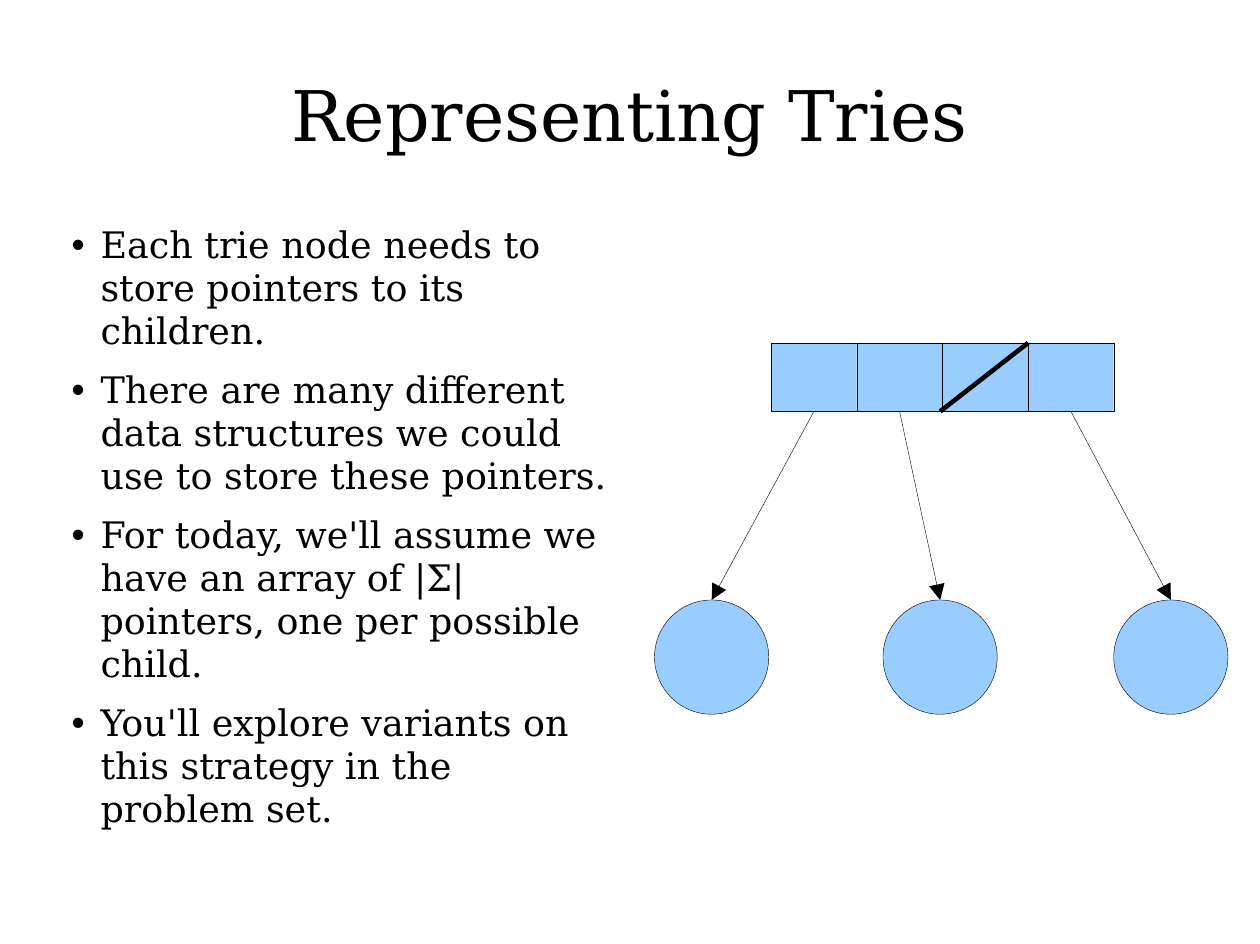
from dataclasses import dataclass
from typing import Optional

from lxml import etree
from pptx import Presentation
from pptx.dml.color import RGBColor
from pptx.enum import shapes as kinds, text as txt
from pptx.oxml import ns
from pptx.util import Inches, Pt

FONT = "DejaVu Serif"
BLACK = "000000"
NODE_BLUE = "99CCFF"
HAIRLINE = 0.25

CELL_LEFT, CELL_TOP, CELL_WIDTH, CELL_HEIGHT = 6.75, 3.0, 0.75, 0.6
CHILD_TOP, CHILD_SIZE = 5.25, 1.0
BULLET_INDENT = 0.26

POINTS = [
    "Each trie node needs to store pointers to its children.",
    "There are many different data structures we could use to store these pointers.",
    "For today, we'll assume we have an array of |Σ| pointers, one per possible child.",
    "You'll explore variants on this strategy in the problem set.",
]


@dataclass
class PointerCell:
    """One array slot; child_left is None for a null pointer."""
    child_left: Optional[float]


POINTER_CELLS = [PointerCell(5.73), PointerCell(7.73), PointerCell(None), PointerCell(9.75)]


def rgb(value: str) -> RGBColor:
    return RGBColor.from_string(value)


def format_frame(frame, anchor) -> None:
    frame_format = {
        "margin_left": 0, "margin_top": 0, "margin_right": 0, "margin_bottom": 0,
        "word_wrap": True, "auto_size": txt.MSO_AUTO_SIZE.NONE, "vertical_anchor": anchor,
    }
    for name, value in frame_format.items():
        setattr(frame, name, value)


def format_font(font, size: float) -> None:
    for name, value in {"name": FONT, "size": Pt(size), "bold": False}.items():
        setattr(font, name, value)
    font.color.rgb = rgb(BLACK)


def add_bullet(paragraph) -> None:
    properties = paragraph._p.get_or_add_pPr()
    properties.set("marL", str(Inches(BULLET_INDENT)))
    properties.set("indent", str(-Inches(BULLET_INDENT)))
    for tag, name, value in [
        ("a:buSzPct", "val", "80000"),
        ("a:buFont", "typeface", "Calibri"),
        ("a:buChar", "char", "•"),
    ]:
        etree.SubElement(properties, ns.qn(tag)).set(name, value)


def add_title(slide) -> None:
    title = slide.shapes.title
    place = {"left": 0.5, "top": 0.63, "width": 10.03, "height": 0.76}
    for name, value in place.items():
        setattr(title, name, Inches(value))
    format_frame(title.text_frame, txt.MSO_ANCHOR.TOP)
    title.text_frame.text = "Representing Tries"
    heading = title.text_frame.paragraphs[0]
    heading.alignment = txt.PP_ALIGN.CENTER
    heading.line_spacing = 1.0
    format_font(heading.runs[0].font, 44)


def add_points(slide) -> None:
    box = slide.shapes.add_textbox(Inches(0.62), Inches(1.95), Inches(4.78), Inches(5.3))
    frame = box.text_frame
    format_frame(frame, txt.MSO_ANCHOR.TOP)
    for index, point in enumerate(POINTS):
        paragraph = frame.add_paragraph() if index else frame.paragraphs[0]
        add_bullet(paragraph)
        paragraph.text = point
        paragraph.line_spacing = Pt(27.1)
        paragraph.space_before = Pt(10 if index else 0)
        format_font(paragraph.runs[0].font, 23)


def add_node(slide, kind, left: float, top: float, width: float, height: float):
    node = slide.shapes.add_shape(kind, Inches(left), Inches(top), Inches(width), Inches(height))
    node.shadow.inherit = False
    node.fill.solid()
    node.fill.fore_color.rgb = rgb(NODE_BLUE)
    node.line.color.rgb = rgb(BLACK)
    node.line.width = Pt(HAIRLINE)
    return node


def add_line(slide, x1: float, y1: float, x2: float, y2: float, width: float):
    line = slide.shapes.add_connector(
        kinds.MSO_CONNECTOR.STRAIGHT, Inches(x1), Inches(y1), Inches(x2), Inches(y2))
    line.line.color.rgb = rgb(BLACK)
    line.line.width = Pt(width)
    etree.SubElement(line._element.spPr, ns.qn("a:effectLst"))
    return line


def add_pointer(slide, cell, child) -> None:
    """Join the bottom of an array cell to the top of a child node."""
    pointer = add_line(slide, 0, 0, 1, 1, HAIRLINE)
    pointer.begin_connect(cell, 2)
    pointer.end_connect(child, 0)
    head = etree.SubElement(pointer.line._get_or_add_ln(), ns.qn("a:tailEnd"))
    for name, value in {"type": "triangle", "w": "lg", "len": "lg"}.items():
        head.set(name, value)


def add_trie_node(slide) -> None:
    cells = [
        add_node(slide, kinds.MSO_SHAPE.RECTANGLE, CELL_LEFT + index * CELL_WIDTH,
                 CELL_TOP, CELL_WIDTH, CELL_HEIGHT)
        for index in range(len(POINTER_CELLS))
    ]
    for index, (pointer_cell, cell) in enumerate(zip(POINTER_CELLS, cells)):
        if pointer_cell.child_left is None:
            left = CELL_LEFT + index * CELL_WIDTH
            add_line(slide, left - 0.02, CELL_TOP + CELL_HEIGHT, left + CELL_WIDTH, CELL_TOP, 2.89)
        else:
            child = add_node(slide, kinds.MSO_SHAPE.OVAL, pointer_cell.child_left,
                             CHILD_TOP, CHILD_SIZE, CHILD_SIZE)
            add_pointer(slide, cell, child)


def main() -> None:
    deck = Presentation()
    deck.slide_width, deck.slide_height = Inches(11.03), Inches(8.26)
    slide = deck.slides.add_slide(deck.slide_layouts[5])
    add_title(slide)
    add_points(slide)
    add_trie_node(slide)
    deck.save("out.pptx")


if __name__ == "__main__":
    main()
